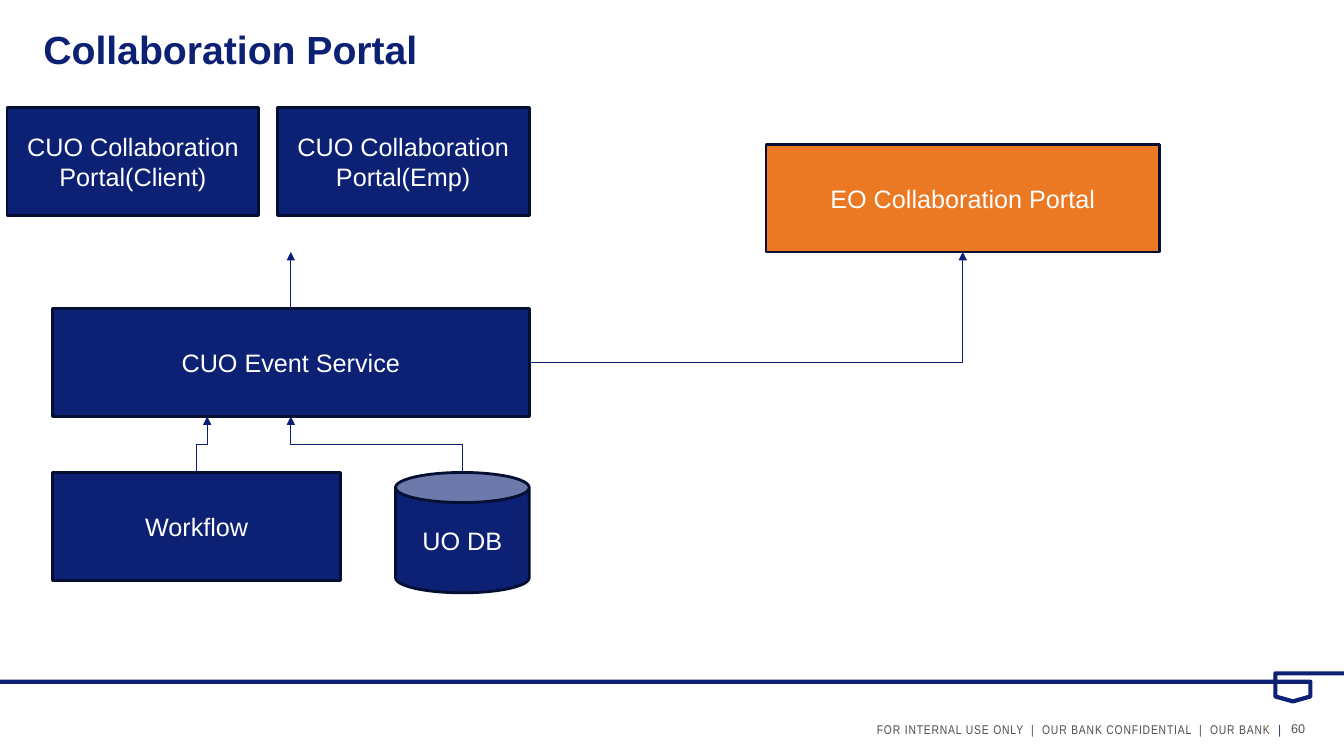
from dataclasses import dataclass

from lxml.etree import SubElement
from pptx import Presentation
from pptx.dml.color import RGBColor
from pptx.enum.shapes import MSO_CONNECTOR, MSO_SHAPE
from pptx.enum.text import MSO_ANCHOR, PP_ALIGN
from pptx.oxml.ns import qn
from pptx.util import Pt


@dataclass(frozen=True)
class Theme:
    """Hold the colours, fonts and sizes of the slide."""
    navy: str = "0C2074"
    edge: str = "050E33"
    link: str = "091E74"
    orange: str = "EB7923"
    white: str = "FFFFFF"
    grey: str = "4D4D4D"
    face: str = "Arial"
    narrow: str = "Arial Narrow"
    head: int = 28
    body: int = 18
    foot: int = 9


THEME = Theme()


def rgb(code):
    """Turn a hex code into a colour."""
    return RGBColor.from_string(code)


def style(font, size, color, face=THEME.face, bold=False):
    """Set size, colour, face and weight of a font."""
    font.size, font.name, font.bold = Pt(size), face, bold
    font.color.rgb = rgb(color)


def add_text(slide, box, text, align=PP_ALIGN.LEFT):
    """Add a text box without insets and return its paragraph."""
    frame = slide.shapes.add_textbox(*map(Pt, box)).text_frame
    frame.word_wrap = True
    frame.vertical_anchor = MSO_ANCHOR.BOTTOM
    frame.margin_left = frame.margin_right = 0
    frame.margin_top = frame.margin_bottom = 0
    line = frame.paragraphs[0]
    line.alignment = align
    line.add_run().text = text
    return line


def add_node(slide, box, text, fill=THEME.navy, kind=MSO_SHAPE.RECTANGLE):
    """Add a filled shape with a centred label."""
    node = slide.shapes.add_shape(kind, *map(Pt, box))
    node.shadow.inherit = False
    node.fill.solid()
    node.fill.fore_color.rgb = rgb(fill)
    node.line.color.rgb = rgb(THEME.edge)
    node.line.width = Pt(2)
    frame = node.text_frame
    frame.word_wrap = True
    frame.vertical_anchor = MSO_ANCHOR.MIDDLE
    label = frame.paragraphs[0]
    label.text = text
    label.alignment = PP_ALIGN.CENTER
    style(label.font, THEME.body, THEME.white)
    return node


def add_arrow(slide, start, end, kind=MSO_CONNECTOR.ELBOW):
    """Add a thin arrow between two points."""
    arrow = slide.shapes.add_connector(kind, *start, *end)
    arrow.line.color.rgb = rgb(THEME.link)
    arrow.line.width = Pt(0.75)
    SubElement(arrow.line._get_or_add_ln(), qn("a:tailEnd"), type="triangle")
    SubElement(arrow._element.spPr, qn("a:effectLst"))
    return arrow


def turn_up(arrow, start, end):
    """Make an elbow arrow leave upward and arrive upward."""
    (x1, y1), (x2, y2) = start, end
    wide, high = y1 - y2, abs(x2 - x1)
    arrow.left = (x1 + x2 - wide) // 2
    arrow.top = (y1 + y2 - high) // 2
    arrow.width, arrow.height = wide, high
    frame = arrow._element.spPr.find(qn("a:xfrm"))
    frame.set("rot", "16200000")
    frame.set("flipH", "0")
    frame.set("flipV", str(int(x2 < x1)))


def mid_top(node):
    """Return the middle of the top side."""
    return node.left + node.width // 2, node.top


def mid_base(node):
    """Return the middle of the bottom side."""
    return node.left + node.width // 2, node.top + node.height


def draw_title(slide, box):
    """Draw the slide title."""
    line = add_text(slide, box, "Collaboration Portal")
    style(line.font, THEME.head, THEME.navy, bold=True)


def draw_flow(slide, box):
    """Draw the services and the arrows that join them."""
    left, top, width, _ = box
    high, wide, inset = 77, 180, 32.5
    span = width - inset
    for x, name in ((0, "Client"), (width - wide, "Emp")):
        add_node(slide, (left + x, top, wide, high),
                 f"CUO Collaboration Portal({name})")
    east = add_node(slide, (left + 542.2, top + 26, 281, high),
                    "EO Collaboration Portal", THEME.orange)
    hub = add_node(slide, (left + inset, top + 143.5, span, high),
                   "CUO Event Service")
    base = top + 260.5
    task = add_node(slide, (left + inset, base, 206, high), "Workflow")
    store = add_node(slide, (left + width - 95.5, base, 95.5, 86),
                     "UO DB", kind=MSO_SHAPE.CAN)

    side = hub.left + hub.width, hub.top + hub.height // 2
    bend = add_arrow(slide, side, mid_base(east))
    bend.begin_connect(hub, 3)
    bend.end_connect(east, 2)
    geom = bend._element.spPr.find(qn("a:prstGeom"))
    geom.set("prst", "bentConnector2")

    goal = hub.left + Pt(110.5), hub.top + hub.height
    rise = add_arrow(slide, mid_top(task), goal)
    rise.begin_connect(task, 0)
    turn_up(rise, mid_top(task), goal)

    feed = add_arrow(slide, mid_top(store), mid_base(hub))
    feed.end_connect(hub, 2)
    turn_up(feed, mid_top(store), mid_base(hub))

    x, y = mid_top(hub)
    stem = add_arrow(slide, (x, y), (x, y - Pt(40.5)), MSO_CONNECTOR.STRAIGHT)
    stem.begin_connect(hub, 0)


def draw_foot(slide, box):
    """Draw the rule with its pennant, the notice and the page number."""
    left, top, width, _ = box
    end = left + width
    flag = [(end - 49, top), (end - 49, top + 16.5), (end - 36.5, top + 20),
            (end - 24, top + 16.5), (end - 24, top + 6), (left, top + 6)]
    path = slide.shapes.build_freeform(Pt(end), Pt(top), scale=1.0)
    path.add_line_segments([(Pt(x), Pt(y)) for x, y in flag], close=False)
    rule = path.convert_to_shape()
    rule.shadow.inherit = False
    rule.fill.background()
    rule.line.color.rgb = rgb(THEME.navy)
    rule.line.width = Pt(3)

    note = add_text(
        slide, (left + 152, top + 31, 763, 14.4),
        "FOR INTERNAL USE ONLY  |  OUR BANK CONFIDENTIAL  |  OUR BANK ",
        PP_ALIGN.RIGHT)
    note.add_run().text = " |"
    for run, color in zip(note.runs, (THEME.grey, THEME.navy)):
        style(run.font, THEME.foot, color, THEME.narrow)
        run.font._element.set("spc", "60")
    page = add_text(slide, (end - 37.7, top + 31, 37.7, 13.7), "60")
    style(page.font, THEME.foot, THEME.grey)


def main():
    """Build and save the slide."""
    deck = Presentation()
    deck.slide_width, deck.slide_height = Pt(960), Pt(540)
    slide = deck.slides.add_slide(deck.slide_layouts[6])
    draw_foot(slide, (0, 481, 960, 59))
    draw_title(slide, (31, 0, 864, 52))
    draw_flow(slide, (5, 77, 373, 347))
    deck.save("out.pptx")


if __name__ == "__main__":
    main()
